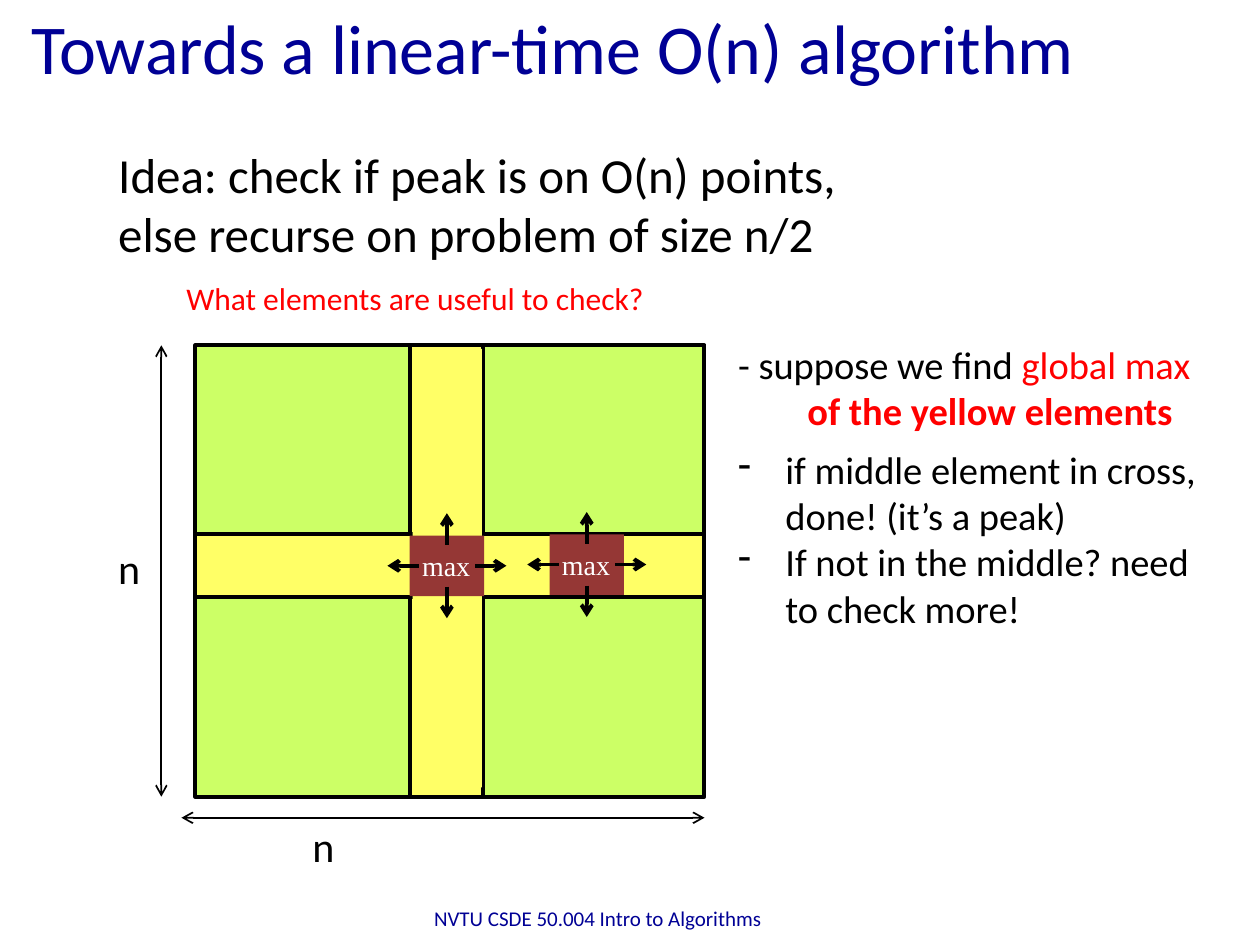
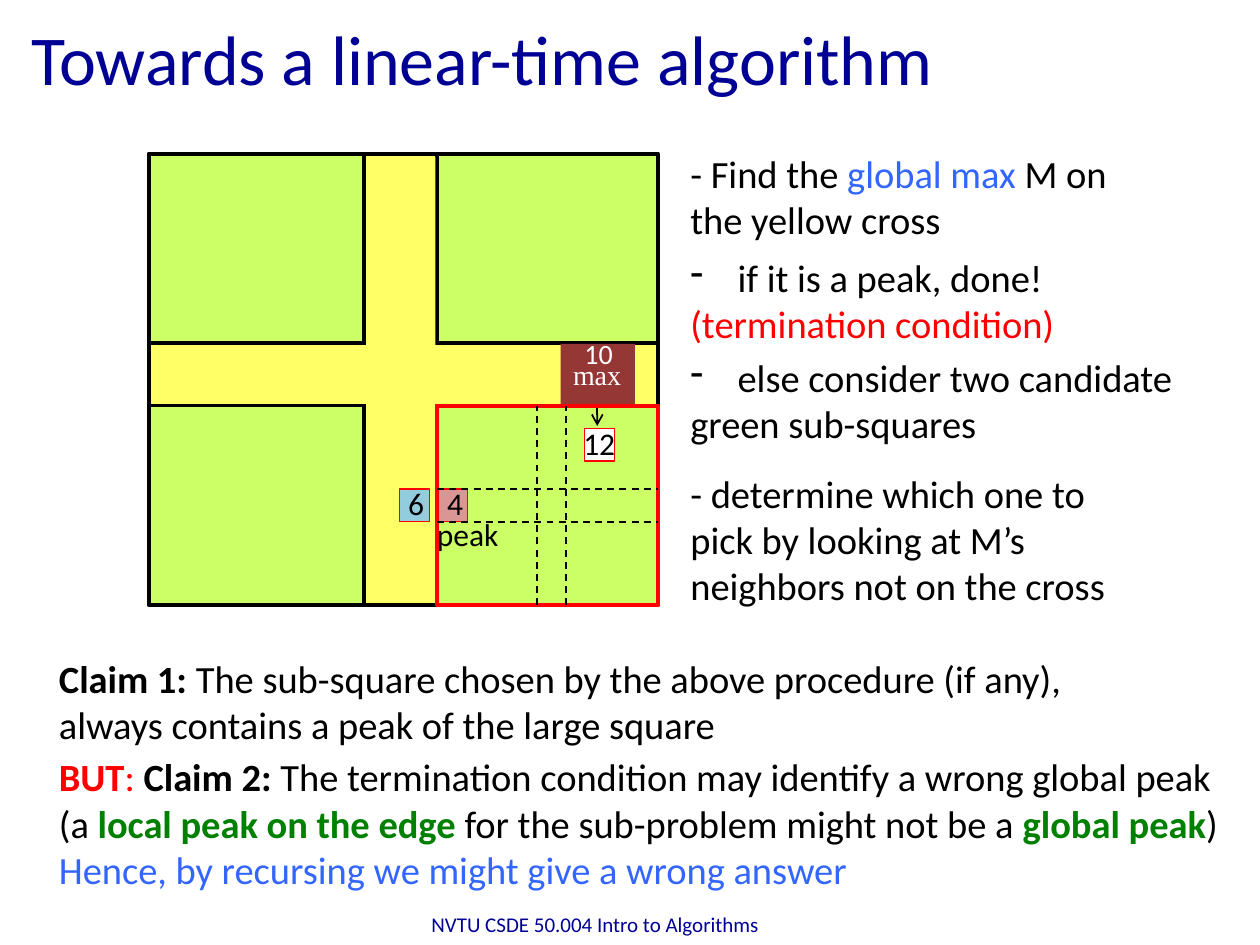
import pptx
import pptx.util
import pptx.dml.color
import pptx.enum.dml
import pptx.enum.shapes
import pptx.enum.text
import pptx.oxml.ns
import lxml.etree

Pt = pptx.util.Pt
RGBColor = pptx.dml.color.RGBColor
qn = pptx.oxml.ns.qn

NAVY = RGBColor(0x00, 0x00, 0x95)
BLACK = RGBColor(0x00, 0x00, 0x00)
WHITE = RGBColor(0xFF, 0xFF, 0xFF)
RED = RGBColor(0xFF, 0x00, 0x00)
BLUE = RGBColor(0x33, 0x66, 0xFF)
GREEN = RGBColor(0x00, 0x80, 0x00)
LIME = RGBColor(0xCC, 0xFF, 0x66)
YELLOW = RGBColor(0xFF, 0xFF, 0x66)
MAROON = RGBColor(0x95, 0x37, 0x35)
PINK = RGBColor(0xD9, 0x96, 0x94)
AQUA = RGBColor(0x93, 0xCD, 0xDD)

SQUARE_WIDTH, SQUARE_HEIGHT = 291, 258
BAND_X, BAND_WIDTH = 122.8, 41.8
BAND_Y, BAND_HEIGHT = 108, 36
MAX_WIDTH, MAX_HEIGHT = 42.5, 34.6


class SlideBuilder:
    font = "Calibri"
    footer_text = "NVTU CSDE 50.004 Intro to Algorithms"

    def __init__(self):
        self.presentation = pptx.Presentation()
        self.presentation.slide_width = Pt(720)
        self.presentation.slide_height = Pt(540)
        self.slide = None

    def start_slide(self, title, title_top, footer_left, footer_top):
        self.slide = self.presentation.slides.add_slide(self.presentation.slide_layouts[5])
        shape = self.slide.shapes.title
        shape.left, shape.top, shape.width, shape.height = Pt(10.8), Pt(title_top), Pt(648), Pt(61.2)
        self.fill_text(shape.text_frame, [title], 40, NAVY, middle=True)
        footer = self.text(footer_left, footer_top, 228.2, [self.footer_text], 12, NAVY, 28.8, middle=True)
        footer.text_frame.paragraphs[0].alignment = pptx.enum.text.PP_ALIGN.CENTER

    def fill_text(self, frame, paragraphs, size, color, middle=False, font=None):
        anchor = pptx.enum.text.MSO_ANCHOR
        frame.word_wrap = True
        frame.auto_size = pptx.enum.text.MSO_AUTO_SIZE.NONE
        frame.vertical_anchor = anchor.MIDDLE if middle else anchor.TOP
        for index, content in enumerate(paragraphs):
            paragraph = frame.paragraphs[0] if index == 0 else frame.add_paragraph()
            paragraph.alignment = pptx.enum.text.PP_ALIGN.LEFT
            pieces = [(content, color, False)] if isinstance(content, str) else content
            for words, piece_color, bold in pieces:
                run = paragraph.add_run()
                run.text = words
                run.font.name = font or self.font
                run.font.size = Pt(size)
                run.font.bold = bold
                run.font.color.rgb = piece_color

    def text(self, left, top, width, paragraphs, size=22, color=BLACK, height=28.8,
             middle=False, dashed=()):
        box = self.slide.shapes.add_textbox(Pt(left), Pt(top), Pt(width), Pt(height))
        self.fill_text(box.text_frame, paragraphs, size, color, middle)
        for index in dashed:
            properties = self.indent(box.text_frame.paragraphs[index], 27, -27)
            lxml.etree.SubElement(properties, qn("a:buChar")).set("char", "-")
        return box

    def indent(self, paragraph, margin, first_line=0):
        properties = paragraph._p.get_or_add_pPr()
        properties.set("marL", str(Pt(margin)))
        properties.set("indent", str(Pt(first_line)))
        return properties

    def rectangle(self, left, top, width, height, fill=None, line=None, line_width=2.25):
        shape = self.slide.shapes.add_shape(
            pptx.enum.shapes.MSO_SHAPE.RECTANGLE, Pt(left), Pt(top), Pt(width), Pt(height))
        shape.shadow.inherit = False
        if fill is None:
            shape.fill.background()
        else:
            shape.fill.solid()
            shape.fill.fore_color.rgb = fill
        if line is None:
            shape.line.fill.background()
        else:
            shape.line.color.rgb = line
            shape.line.width = Pt(line_width)
        return shape

    def line(self, x1, y1, x2, y2, width=1, ends=(), dashed=False):
        connector = self.slide.shapes.add_connector(
            pptx.enum.shapes.MSO_CONNECTOR.STRAIGHT, Pt(x1), Pt(y1), Pt(x2), Pt(y2))
        connector.line.color.rgb = BLACK
        connector.line.width = Pt(width)
        if dashed:
            connector.line.dash_style = pptx.enum.dml.MSO_LINE.DASH
        properties = connector._element.spPr
        for end in ends:
            lxml.etree.SubElement(properties.find(qn("a:ln")), qn(f"a:{end}")).set("type", "arrow")
        lxml.etree.SubElement(properties, qn("a:effectLst"))

    def square_with_cross(self, left, top):
        self.rectangle(left, top, SQUARE_WIDTH, SQUARE_HEIGHT, LIME, BLACK)
        self.rectangle(left + BAND_X, top, BAND_WIDTH, SQUARE_HEIGHT, YELLOW, BLACK)
        self.rectangle(left, top + BAND_Y, SQUARE_WIDTH, BAND_HEIGHT, YELLOW, BLACK)
        self.rectangle(left + 108, top + 109.4, 66, 33, YELLOW)
        self.rectangle(left + 124.2, top + 2, 39.6, 250.6, YELLOW)

    def max_cell(self, center_x, center_y, arrows=False):
        cell = self.rectangle(center_x - MAX_WIDTH / 2, center_y - MAX_HEIGHT / 2,
                              MAX_WIDTH, MAX_HEIGHT, MAROON)
        self.fill_text(cell.text_frame, ["max"], 16, WHITE, middle=True, font="Times New Roman")
        cell.text_frame.margin_right = 0
        if arrows:
            for dx, dy, start in ((0, -1, 12), (0, 1, 12), (1, 0, 16), (-1, 0, 16)):
                end = start + 18
                self.line(center_x + dx * start, center_y + dy * start,
                          center_x + dx * end, center_y + dy * end, 2.25, ["tailEnd"])

    def number_cell(self, left, top, fill):
        self.rectangle(left, top, 17.3, 18.7, fill, RED, 0.75)


def build_idea_slide(builder):
    builder.start_slide("Towards a linear-time O(n) algorithm", -4.3, 227.5, 510.5)
    builder.text(60.5, 79.2, 432, ["Idea: check if peak is on O(n) points,",
                                   "else recurse on problem of size n/2"], 28, height=75)
    left, top = 111.6, 197.3
    builder.text(99.4, 156.2, 285, ["What elements are useful to check?"], 18, RED)
    builder.square_with_cross(left, top)

    finding = builder.text(414.7, 191.5, 276, [
        [("- suppose we find ", BLACK, False), ("global max", RED, False)],
        [("of the yellow elements", RED, True)]], height=60.5)
    builder.indent(finding.text_frame.paragraphs[1], 39.6)
    builder.text(414.7, 251.3, 276, ["if middle element in cross, done! (it’s a peak)",
                                     "If not in the middle? need to check more!"],
                 height=113.8, dashed=(0, 1))

    builder.max_cell(255.4, 323.3, arrows=True)
    builder.max_cell(335.3, 322.6, arrows=True)

    both_ends = ["headEnd", "tailEnd"]
    builder.line(92.2, top, 92.2, top + SQUARE_HEIGHT, ends=both_ends)
    builder.line(left + SQUARE_WIDTH, 467.3, 103.7, 467.3, ends=both_ends)
    for label_left, label_top in ((60.5, 306.7), (171.4, 465.1)):
        builder.text(label_left, label_top, 30, ["n"], 24, height=36)


def build_claims_slide(builder):
    builder.start_slide("Towards a linear-time algorithm", 2.2, 226, 513.4)
    builder.text(26.6, 370.8, 650, [[
        ("Claim 1: ", BLACK, True),
        ("The sub-square chosen by the above procedure (if any), "
         "always contains a peak of the large square", BLACK, False)]], height=60.5)
    builder.text(26.6, 427, 687, [
        [("BUT", RED, True), (": ", RED, False), ("Claim 2:", BLACK, True),
         (" The termination condition may identify a wrong global peak", BLACK, False)],
        [("(a ", BLACK, False), ("local peak on the edge ", GREEN, True),
         ("for the sub-problem might not be a ", BLACK, False),
         ("global peak", GREEN, True), (")", BLACK, False)],
        [("Hence, by recursing we might give a wrong answer", BLUE, False)]], height=87)

    left, top = 85, 87.8
    right, bottom = left + SQUARE_WIDTH, top + SQUARE_HEIGHT
    builder.square_with_cross(left, top)
    builder.max_cell(341.6, 213.8)
    builder.number_cell(334.1, 244.8, WHITE)
    builder.text(326.2, 239, 38, ["12"], 18)
    builder.text(326.9, 188.6, 36, ["10"], 16, WHITE)
    builder.number_cell(249.8, 279.4, PINK)
    builder.text(242.6, 290.9, 56, ["peak"], 18)
    builder.line(341.3, 231.1, 341.3, 243.4, ends=["tailEnd"])
    builder.text(248.4, 272.9, 28, ["4"], 18)

    quadrant_left, quadrant_top = 249.8, top + BAND_Y + BAND_HEIGHT
    builder.rectangle(quadrant_left, quadrant_top, right - quadrant_left,
                      bottom - quadrant_top, line=RED)
    for y in (279.4, 298.1):
        builder.line(quadrant_left, y, right, y, dashed=True)
    for x in (306.7, 323.3):
        builder.line(x, bottom, x, quadrant_top, dashed=True)
    builder.number_cell(228.2, 279.4, AQUA)
    builder.text(226.1, 272.9, 28, ["6"], 18)

    steps_left = 387.4
    builder.text(steps_left, 82.1, 254, [[
        ("- Find the ", BLACK, False), ("global max", BLUE, False),
        (" M on the yellow cross", BLACK, False)]], height=60.5)
    builder.text(steps_left, 141.8, 276, [
        "if it is a peak, done!", [("(termination condition)", RED, False)]],
        height=60.5, dashed=(0,))
    builder.text(steps_left, 198.7, 293, ["else consider two candidate", "green sub-squares"],
                 height=60.5, dashed=(0,))
    builder.text(steps_left, 265, 254, [
        "- determine which one to pick by looking at M’s neighbors not on the cross"], height=87)


def main():
    builder = SlideBuilder()
    build_idea_slide(builder)
    build_claims_slide(builder)
    builder.presentation.save("out.pptx")


if __name__ == "__main__":
    main()
